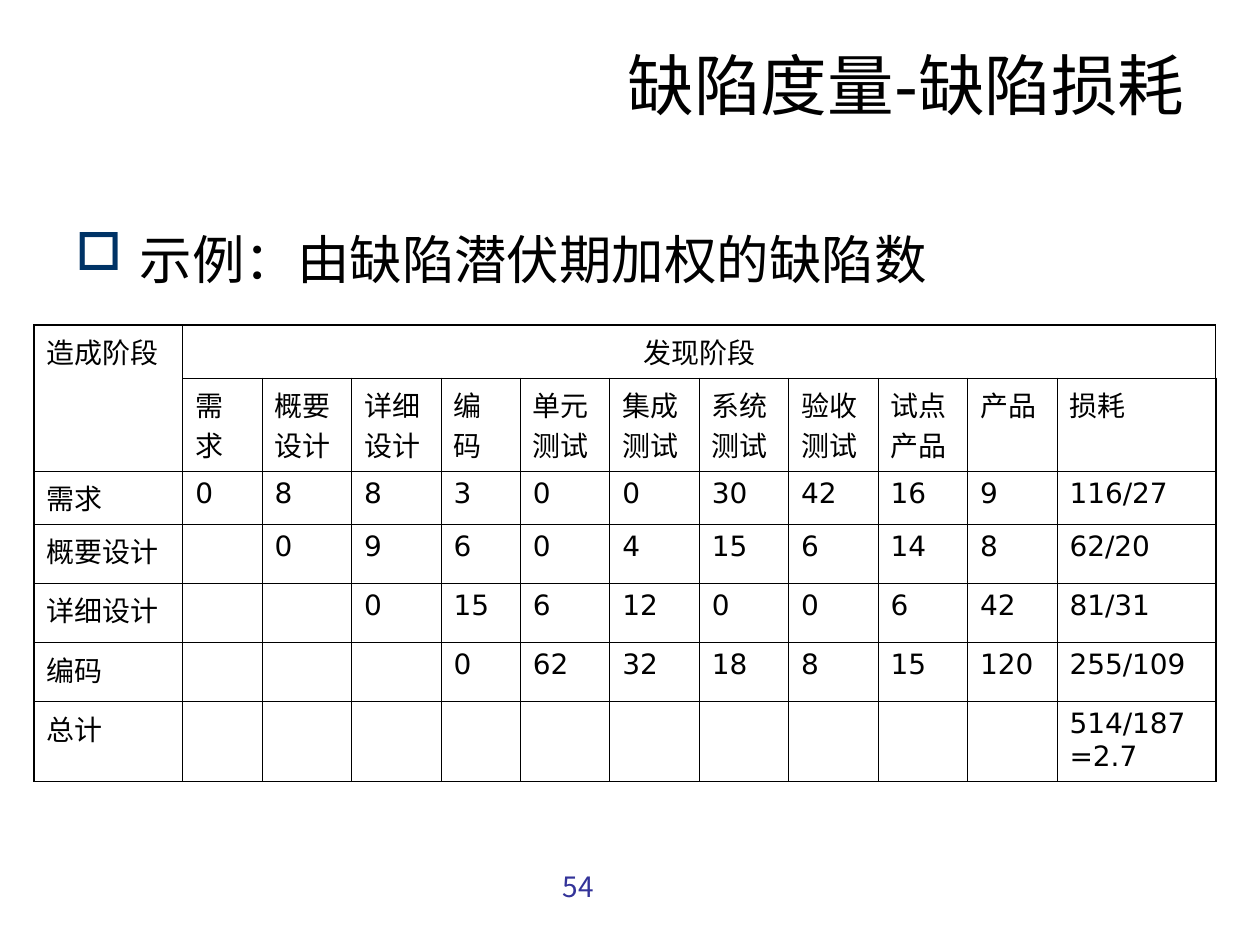
from lxml import etree
from pptx import Presentation
from pptx import util as u
from pptx.dml.color import RGBColor
from pptx.enum import text
from pptx.oxml import ns

COLORS = {"ink": "000000", "bullet": "003366", "number": "333399"}
LATIN_FONT = "DejaVu Sans"
CJK_FONT = "Noto Sans CJK SC"
THIN, THICK = 0.45, 1.08

COLUMN_WIDTHS = [1.18, 0.63, 0.71, 0.71, 0.63] + [0.71] * 6 + [1.26]
ROW_HEIGHTS = [0.42, 0.74, 0.42, 0.47, 0.47, 0.47, 0.63]
ROWS = [
    ["造成阶段", "发现阶段"],
    ["", "需求", "概要设计", "详细设计", "编码", "单元测试", "集成测试",
     "系统测试", "验收测试", "试点产品", "产品", "损耗"],
    ["需求", "0", "8", "8", "3", "0", "0", "30", "42", "16", "9", "116/27"],
    ["概要设计", "", "0", "9", "6", "0", "4", "15", "6", "14", "8", "62/20"],
    ["详细设计", "", "", "0", "15", "6", "12", "0", "0", "6", "42", "81/31"],
    ["编码", "", "", "", "0", "62", "32", "18", "8", "15", "120", "255/109"],
    ["总计"] + [""] * 10 + ["514/187=2.7"],
]


def add_child(parent, tag, **attributes):
    return etree.SubElement(parent, ns.qn(tag), **attributes)


def add_run(paragraph, words, size, color="ink", font=LATIN_FONT):
    run = paragraph.add_run()
    run.text = words
    run.font.size = u.Pt(size)
    run.font.name = font
    run.font.color.rgb = RGBColor.from_string(COLORS[color])
    add_child(run.font._element, "a:ea", typeface=CJK_FONT)


def place(shape, box):
    shape.left, shape.top, shape.width, shape.height = map(u.Inches, box)


def add_text_box(slide, box):
    """Add a wrapping text box and return its first paragraph."""
    shape = slide.shapes.add_textbox(*map(u.Inches, box))
    shape.text_frame.word_wrap = True
    return shape.text_frame.paragraphs[0]


def fill_title(slide, box):
    title = slide.shapes.title
    place(title, box)
    frame = title.text_frame
    frame.vertical_anchor = text.MSO_ANCHOR.TOP
    frame.auto_size = text.MSO_AUTO_SIZE.NONE
    paragraph = frame.paragraphs[0]
    paragraph.alignment = text.PP_ALIGN.RIGHT
    add_run(paragraph, "缺陷度量-缺陷损耗", 38)


def add_example(slide, box):
    paragraph = add_text_box(slide, box)
    properties = paragraph._p.get_or_add_pPr()
    indent = u.Inches(0.51)
    properties.set("marL", str(indent))
    properties.set("indent", str(-indent))
    bullet_color = add_child(properties, "a:buClr")
    add_child(bullet_color, "a:srgbClr", val=COLORS["bullet"])
    add_child(properties, "a:buChar", char="□")
    add_run(paragraph, "示例：由缺陷潜伏期加权的缺陷数", 30)


def set_borders(cell, widths):
    """Draw the cell's edges; widths maps L, R, T and B to points."""
    properties = cell._tc.get_or_add_tcPr()
    for side, width in widths.items():
        line = add_child(properties, f"a:ln{side}", w=str(u.Pt(width)))
        fill = add_child(line, "a:solidFill")
        add_child(fill, "a:srgbClr", val=COLORS["ink"])


def add_defect_table(slide, box):
    last_row, last_column = len(ROW_HEIGHTS) - 1, len(COLUMN_WIDTHS) - 1
    table = slide.shapes.add_table(
        last_row + 1, last_column + 1, *map(u.Inches, box)).table
    table.first_row = table.horz_banding = False
    for column, width in zip(table.columns, COLUMN_WIDTHS):
        column.width = u.Inches(width)
    for row, height in zip(table.rows, ROW_HEIGHTS):
        row.height = u.Inches(height)

    for r in range(last_row + 1):
        for c in range(last_column + 1):
            cell = table.cell(r, c)
            set_borders(cell, {
                "L": THICK if c == 0 else THIN,
                "R": THICK if c == last_column else THIN,
                "T": THICK if r == 0 else THIN,
                "B": THICK if r == last_row else THIN,
            })
            cell.fill.background()

    table.cell(0, 0).merge(table.cell(1, 0))
    table.cell(0, 1).merge(table.cell(0, last_column))
    for r, values in enumerate(ROWS):
        for c, value in enumerate(values):
            if value:
                add_run(table.cell(r, c).text_frame.paragraphs[0], value, 16)
    heading = table.cell(0, 1).text_frame.paragraphs[0]
    heading.alignment = text.PP_ALIGN.CENTER


def add_page_number(slide, box):
    add_run(add_text_box(slide, box), "54", 16, "number", CJK_FONT)


def main():
    presentation = Presentation()
    presentation.slide_width = u.Inches(10)
    presentation.slide_height = u.Inches(7.5)
    slide = presentation.slides.add_slide(presentation.slide_layouts[5])
    fill_title(slide, (0.5, 0.3, 9, 1.25))
    add_example(slide, (0.5, 1.75, 9.3, 4.95))
    add_defect_table(
        slide, (0.27, 2.58, sum(COLUMN_WIDTHS), sum(ROW_HEIGHTS)))
    add_page_number(slide, (4.37, 6.85, 1.1, 0.52))
    presentation.save("out.pptx")


if __name__ == "__main__":
    main()
